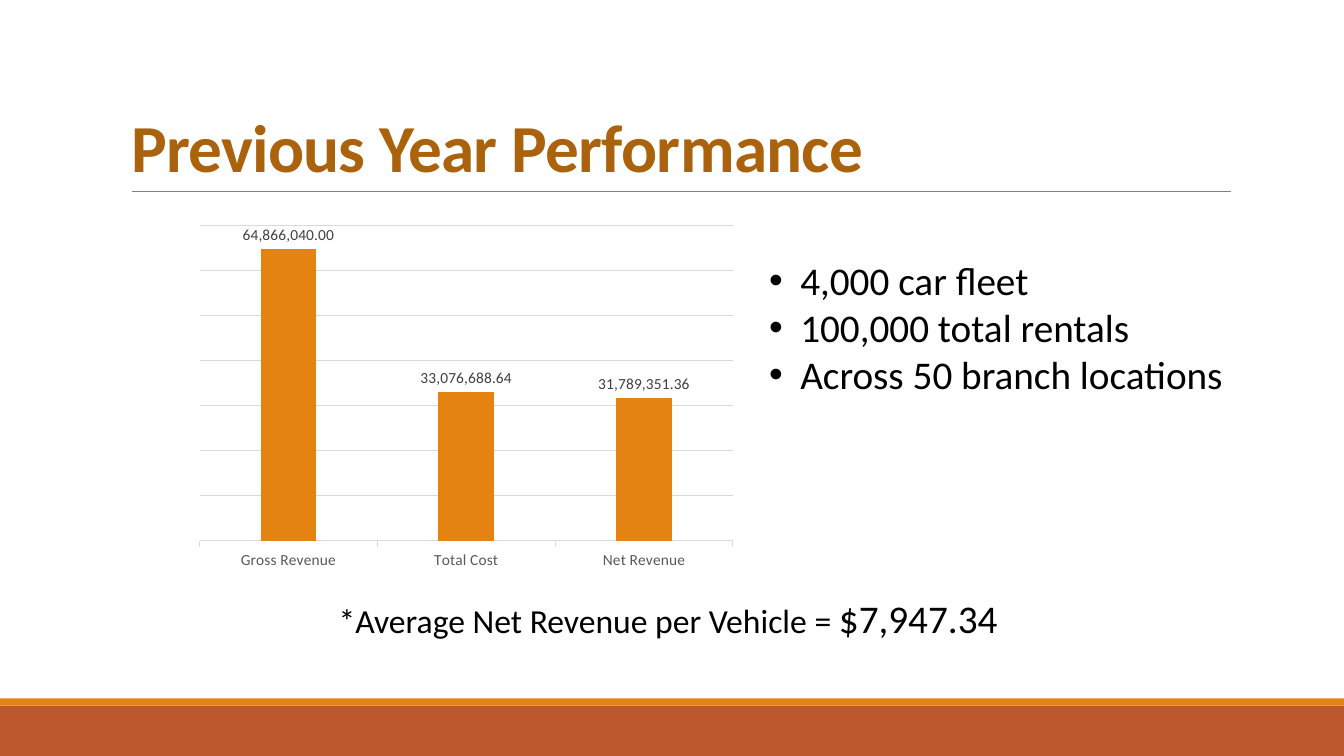
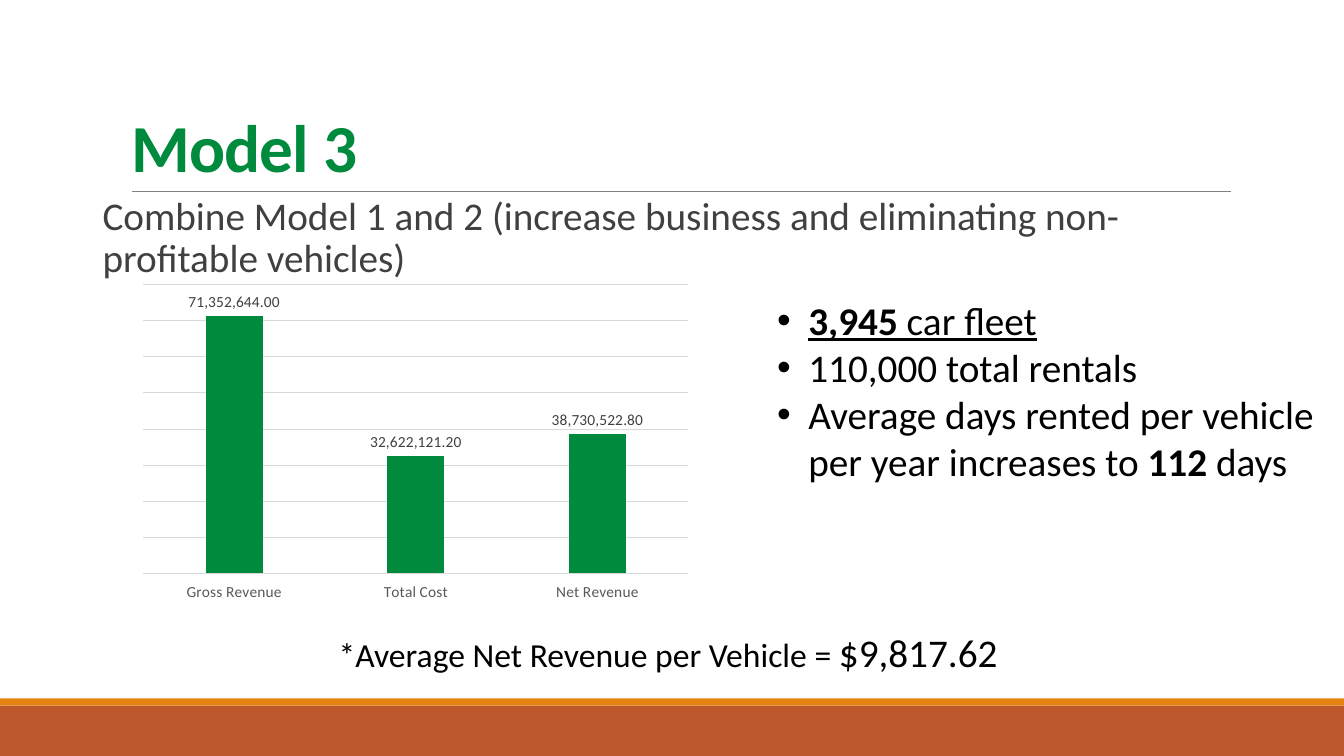
from dataclasses import dataclass

from lxml.etree import SubElement
from pptx import Presentation
from pptx.chart.data import CategoryChartData
from pptx.dml.color import RGBColor
from pptx.enum.chart import (XL_CHART_TYPE, XL_LABEL_POSITION,
                             XL_TICK_LABEL_POSITION, XL_TICK_MARK)
from pptx.enum.shapes import MSO_CONNECTOR, MSO_SHAPE
from pptx.enum.text import MSO_ANCHOR, MSO_AUTO_SIZE, PP_ALIGN
from pptx.oxml.ns import qn
from pptx.util import Inches, Pt


@dataclass(frozen=True)
class Theme:
    font: str = "Calibri"
    orange: str = "E48312"
    rust: str = "BD582C"
    brown: str = "AB620D"
    green: str = "008A3E"
    black: str = "000000"
    dark_gray: str = "404040"
    axis_gray: str = "595959"
    rule_gray: str = "808080"
    grid_gray: str = "D9D9D9"
    title_size: int = 48
    body_size: int = 28
    note_size: int = 24
    chart_size: int = 11
    number_format: str = "#,##0.00"


THEME = Theme()


class Deck:
    WIDTH, HEIGHT = 13.33, 7.5

    def __init__(self, theme):
        self.theme = theme
        self.slide = None
        self.presentation = Presentation()
        self.presentation.slide_width = Inches(self.WIDTH)
        self.presentation.slide_height = Inches(self.HEIGHT)

    # Shared frame: title, footer bands and title rule
    def add_slide(self, title, color):
        layout = self.presentation.slide_layouts.get_by_name("Title Only")
        self.slide = self.presentation.slides.add_slide(layout)
        self.add_band(7, 0.5, self.theme.rust)
        self.add_band(6.93, 0.07, self.theme.orange)
        self.add_rule(1.31, 12.21, 1.9)
        self.set_title(title, color)

    def set_title(self, text, color):
        shape = self.slide.shapes.title
        shape.left, shape.top = Inches(1.2), Inches(0.31)
        shape.width, shape.height = Inches(11), Inches(1.59)
        frame = shape.text_frame
        frame.word_wrap = True
        frame.auto_size = MSO_AUTO_SIZE.NONE
        frame.vertical_anchor = MSO_ANCHOR.BOTTOM
        paragraph = frame.paragraphs[0]
        paragraph.alignment = PP_ALIGN.LEFT
        paragraph.line_spacing = 0.85
        run = self.add_run(paragraph, text, self.theme.title_size, color, bold=True)
        run.font._element.set("spc", "-50")

    def add_band(self, top, height, color):
        shape = self.slide.shapes.add_shape(
            MSO_SHAPE.RECTANGLE, 0, Inches(top), Inches(self.WIDTH), Inches(height))
        shape.shadow.inherit = False
        shape.fill.solid()
        shape.fill.fore_color.rgb = RGBColor.from_string(color)
        shape.line.fill.background()

    def add_rule(self, left, right, top):
        rule = self.slide.shapes.add_connector(
            MSO_CONNECTOR.STRAIGHT, Inches(left), Inches(top), Inches(right), Inches(top))
        self.style_line(rule.line, self.theme.rule_gray, 0.5)
        SubElement(rule._element.spPr, qn("a:effectLst"))

    # Text
    def add_run(self, paragraph, text, size, color, bold=False, underline=False):
        run = paragraph.add_run()
        run.text = text
        self.style_font(run.font, size, color)
        run.font.bold = bold
        run.font.underline = underline
        return run

    def add_text_frame(self, left, top, width, height):
        box = self.slide.shapes.add_textbox(
            Inches(left), Inches(top), Inches(width), Inches(height))
        box.text_frame.word_wrap = True
        return box.text_frame

    def add_subtitle(self, text):
        frame = self.add_text_frame(0.92, 1.9, 11.5, 0.86)
        frame.margin_right = 0
        paragraph = frame.paragraphs[0]
        paragraph.line_spacing = 0.9
        self.add_run(paragraph, text, self.theme.body_size, self.theme.dark_gray)

    def add_bullets(self, left, top, width, height, items):
        """Each item is a list of (text, run style) pairs."""
        frame = self.add_text_frame(left, top, width, height)
        for index, runs in enumerate(items):
            paragraph = frame.add_paragraph() if index else frame.paragraphs[0]
            properties = paragraph._p.get_or_add_pPr()
            indent = Inches(0.31)
            properties.set("marL", str(indent))
            properties.set("indent", str(-indent))
            SubElement(properties, qn("a:buFont")).set("typeface", "Arial")
            SubElement(properties, qn("a:buChar")).set("char", "•")
            for text, style in runs:
                self.add_run(paragraph, text, self.theme.body_size,
                             self.theme.black, **style)

    def add_average(self, top, amount):
        frame = self.add_text_frame(3.05, top, 7.24, 0.57)
        paragraph = frame.paragraphs[0]
        paragraph.alignment = PP_ALIGN.CENTER
        self.add_run(paragraph, "*Average Net Revenue per Vehicle = ",
                     self.theme.note_size, self.theme.black)
        self.add_run(paragraph, amount + " ", self.theme.body_size, self.theme.black)

    # Chart
    def add_revenue_chart(self, left, top, width, height, values, color, maximum, tick_mark):
        theme = self.theme
        data = CategoryChartData(number_format=theme.number_format)
        data.categories = ["Gross Revenue", "Total Cost", "Net Revenue"]
        data.add_series("Series 1", values)
        chart = self.slide.shapes.add_chart(
            XL_CHART_TYPE.COLUMN_CLUSTERED, Inches(left), Inches(top),
            Inches(width), Inches(height), data).chart
        chart.has_title = False
        chart.has_legend = False
        self.style_font(chart.font, theme.chart_size, theme.black)

        category_axis = chart.category_axis
        category_axis.major_tick_mark = tick_mark
        category_axis.minor_tick_mark = XL_TICK_MARK.NONE
        category_axis.tick_label_position = XL_TICK_LABEL_POSITION.LOW
        self.style_font(category_axis.tick_labels.font, theme.chart_size, theme.axis_gray)
        self.style_line(category_axis.format.line, theme.grid_gray, 0.75)

        value_axis = chart.value_axis
        value_axis.visible = False
        value_axis.minimum_scale = 0
        value_axis.maximum_scale = maximum
        value_axis.major_unit = 10_000_000
        value_axis.has_major_gridlines = True
        self.style_line(value_axis.major_gridlines.format.line, theme.grid_gray, 0.75)

        plot = chart.plots[0]
        plot.gap_width = 219
        plot.overlap = -27
        plot.vary_by_categories = False
        series = plot.series[0]
        series.format.fill.solid()
        series.format.fill.fore_color.rgb = RGBColor.from_string(color)
        labels = series.data_labels
        labels.show_value = True
        labels.position = XL_LABEL_POSITION.OUTSIDE_END
        labels.number_format = theme.number_format
        labels.number_format_is_linked = False
        self.style_font(labels.font, theme.chart_size, theme.dark_gray)

    # Shared formatting
    def style_font(self, font, size, color):
        font.name = self.theme.font
        font.size = Pt(size)
        font.color.rgb = RGBColor.from_string(color)

    def style_line(self, line, color, width):
        line.color.rgb = RGBColor.from_string(color)
        line.width = Pt(width)


deck = Deck(THEME)

# Previous year
deck.add_slide("Previous Year Performance", THEME.brown)
deck.add_bullets(7.53, 2.49, 5.24, 1.82, [
    [("4,000 car fleet", {})],
    [("100,000 total rentals", {})],
    [("Across 50 branch locations", {})],
])
deck.add_average(5.85, "$7,947.34")
deck.add_revenue_chart(1.87, 2.17, 5.51, 3.55, (64866040, 33076688.64, 31789351.36),
                       THEME.orange, 70_000_000, XL_TICK_MARK.OUTSIDE)

# Model 3
deck.add_slide("Model 3", THEME.green)
deck.add_subtitle("Combine Model 1 and 2 (increase business and eliminating "
                  "non-profitable vehicles)")
deck.add_bullets(7.61, 2.89, 5.72, 3.4, [
    [("3,945", {"bold": True, "underline": True}), (" car fleet", {"underline": True})],
    [("110,000 total rentals", {})],
    [("Average days rented per vehicle per year increases to ", {}),
     ("112 ", {"bold": True}), ("days", {})],
])
deck.add_average(6.18, "$9,817.62")
deck.add_revenue_chart(1.31, 2.76, 5.63, 3.28, (71352644, 32622121.2, 38730522.8),
                       THEME.green, 80_000_000, XL_TICK_MARK.NONE)

deck.presentation.save("out.pptx")
